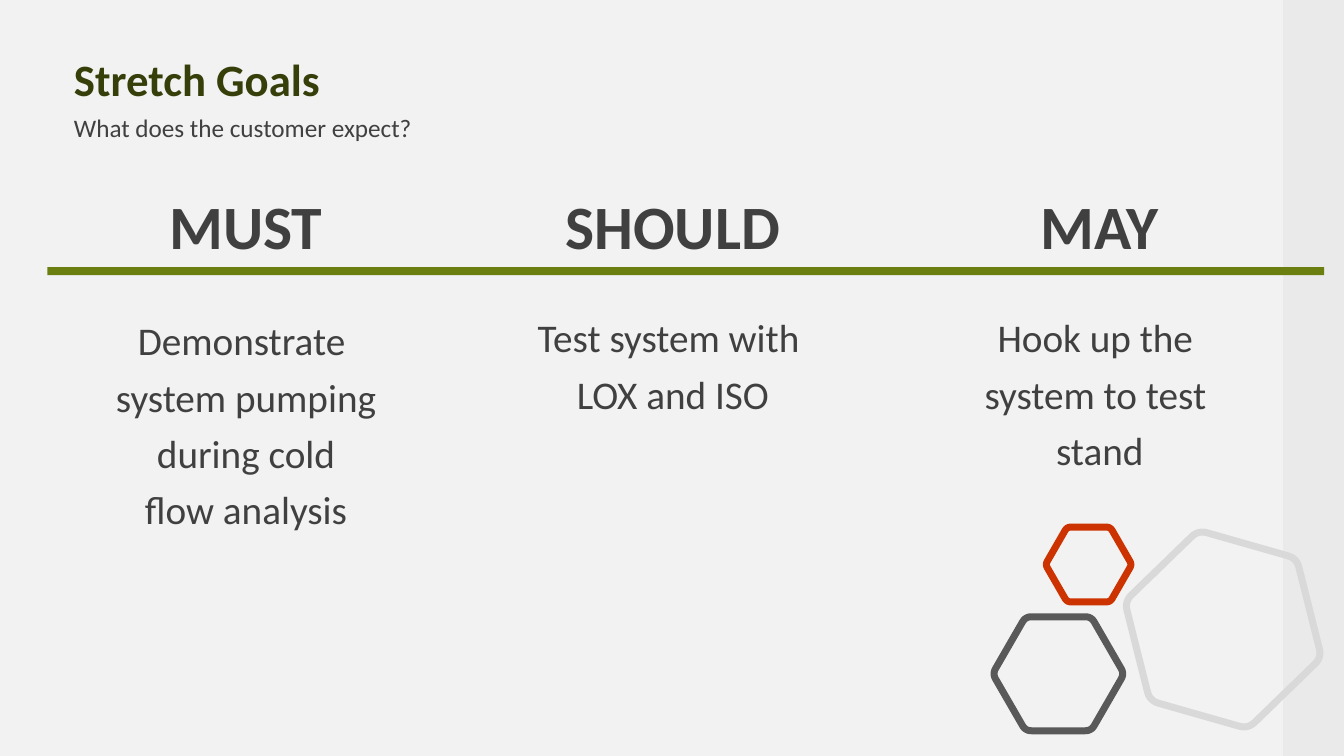
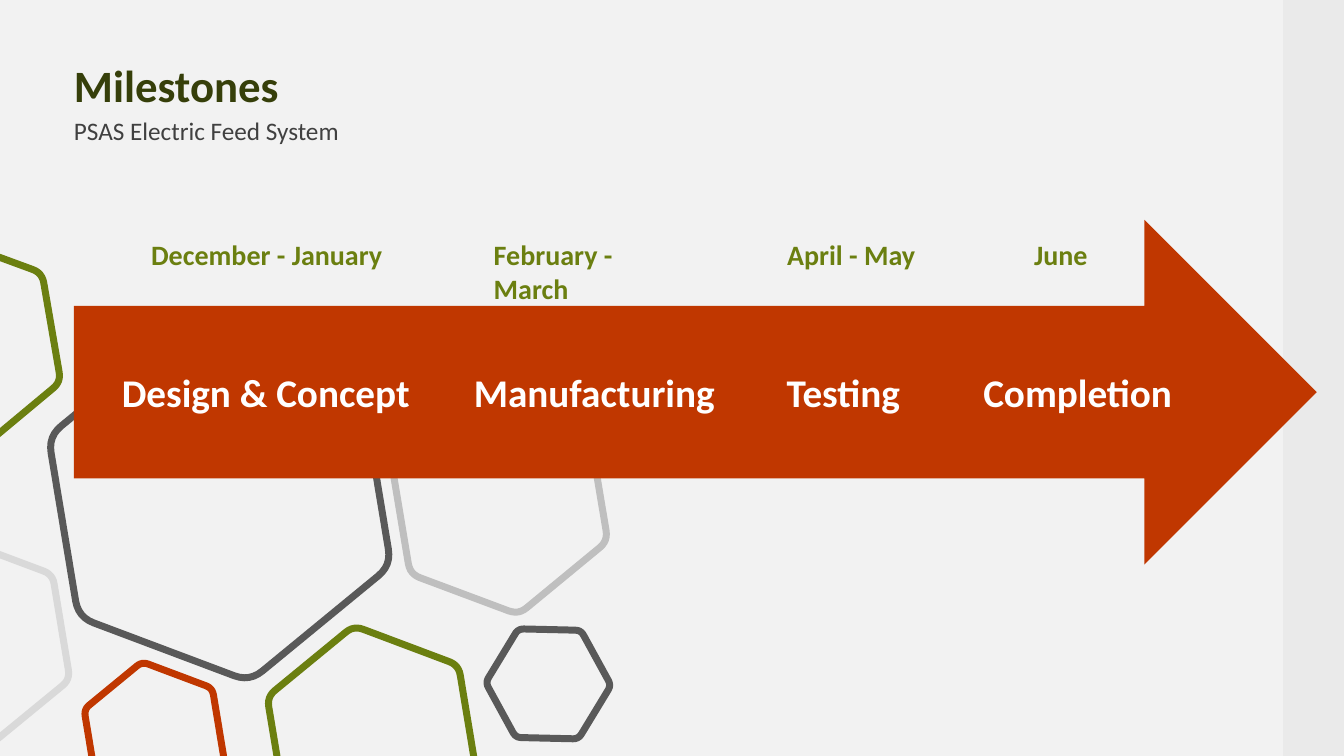
from dataclasses import dataclass
from itertools import chain
from math import cos, radians, sin
from typing import Optional

from pptx import Presentation
from pptx.dml.color import RGBColor
from pptx.enum.shapes import MSO_SHAPE as Preset
from pptx.enum.text import MSO_ANCHOR as Anchor, MSO_AUTO_SIZE as AutoSize, PP_ALIGN as Align
from pptx.presentation import Presentation as Deck
from pptx.slide import Slide
from pptx.text.text import TextFrame
from pptx.util import Inches, Pt

SLIDE_W, SLIDE_H = Inches(13.333), Inches(7.5)
TITLE_ONLY = 5


@dataclass(frozen=True)
class Theme:
    font: str = "Calibri"
    background: str = "F2F2F2"
    edge: str = "EAEAEA"
    title: str = "363F0A"
    text: str = "404040"
    green: str = "6B7F10"
    rust: str = "C03700"
    red: str = "CC3300"
    dark: str = "595959"
    mid: str = "BFBFBF"
    pale: str = "D9D9D9"
    white: str = "FFFFFF"
    title_pt: int = 32
    subtitle_pt: int = 18
    heading_pt: int = 44
    body_pt: int = 28
    date_pt: int = 20
    outline_pt: int = 5
    paragraph_gap_pt: int = 10
    tight: float = 0.9


THEME = Theme()


@dataclass(frozen=True)
class Box:
    """A rectangle in percent of the slide's width and height."""
    left: float
    top: float
    width: float
    height: float

    def emu(self) -> tuple[int, int, int, int]:
        return across(self.left), down(self.top), across(self.width), down(self.height)


@dataclass(frozen=True)
class Style:
    size: int
    color: str
    bold: bool = False
    align: Align = Align.LEFT
    spacing: Optional[float] = None


@dataclass(frozen=True)
class Line:
    text: str
    style: Style
    gap: float = 0


@dataclass(frozen=True)
class Hexagon:
    """Centre and width in percent of the slide, turn in degrees."""
    x: float
    y: float
    width: float
    color: str
    turn: float = 0


@dataclass(frozen=True)
class Goal:
    heading: str
    lines: tuple[str, ...]
    heading_gap: int = 40


@dataclass(frozen=True)
class Milestone:
    phase: str
    phase_left: float
    phase_width: float
    date: str
    date_left: float
    date_width: float


TITLE = Style(THEME.title_pt, THEME.title, True, spacing=THEME.tight)
SUBTITLE = Style(THEME.subtitle_pt, THEME.text, spacing=THEME.tight)
HEADING = Style(THEME.heading_pt, THEME.text, True, Align.CENTER, THEME.tight)
BODY = Style(THEME.body_pt, THEME.text, False, Align.CENTER, THEME.tight)
PHASE = Style(THEME.body_pt, THEME.white, True, Align.CENTER)
DATE = Style(THEME.date_pt, THEME.green, True)

GOALS = (
    Goal("MUST", ("Demonstrate ", "system pumping", " during cold ", "flow analysis"), 42),
    Goal("SHOULD", ("Test system with ", "LOX and ISO")),
    Goal("MAY", ("Hook up the ", "system to test ", "stand")),
)
MILESTONES = (
    Milestone("Design & Concept", 8.18, 23.18, "December - January", 10.5, 19.8),
    Milestone("Manufacturing", 34.5, 19.43, "February - March", 36, 16.2),
    Milestone("Testing", 56.1, 13.28, "April - May", 57.83, 12.68),
    Milestone("Completion", 71.93, 16.5, "June", 76.2, 6.5),
)
GOAL_HEXAGONS = (
    Hexagon(91.01, 83.27, 14.93, THEME.pale, 15.9),
    Hexagon(78.75, 89.13, 9.6, THEME.dark),
    Hexagon(81, 74.67, 6.3, THEME.red),
)
MILESTONE_HEXAGONS = (
    Hexagon(37.16, 66.2, 16.88, THEME.mid, 20.5),
    Hexagon(16.35, 66.27, 26.7, THEME.dark, 20.6),
    Hexagon(27.68, 97.4, 16.35, THEME.green, 20.6),
    Hexagon(40.8, 90.47, 9.15, THEME.dark, 61.3),
    Hexagon(11.48, 97.33, 10.95, THEME.rust, 20.6),
    Hexagon(-2.21, 84.93, 15.53, THEME.pale, 20.6),
    Hexagon(-3.19, 45.47, 16.13, THEME.green, 20.2),
)


def across(percent: float) -> int:
    return round(SLIDE_W * percent / 100)


def down(percent: float) -> int:
    return round(SLIDE_H * percent / 100)


def write(frame: TextFrame, lines: list[Line]) -> None:
    for index, line in enumerate(lines):
        paragraph = frame.paragraphs[0] if index == 0 else frame.add_paragraph()
        paragraph.alignment = line.style.align
        paragraph.space_before = Pt(line.gap)
        if line.style.spacing:
            paragraph.line_spacing = line.style.spacing
        run = paragraph.add_run()
        run.text = line.text
        run.font.name = THEME.font
        run.font.size = Pt(line.style.size)
        run.font.bold = line.style.bold
        run.font.color.rgb = RGBColor.from_string(line.style.color)


def clear_margins(frame: TextFrame) -> None:
    frame.margin_left = frame.margin_right = frame.margin_top = frame.margin_bottom = 0


def add_text(slide: Slide, box: Box, lines: list[Line], flush: bool = False) -> None:
    """Flush text starts at the very edge of its box."""
    frame = slide.shapes.add_textbox(*box.emu()).text_frame
    frame.word_wrap = True
    if flush:
        clear_margins(frame)
    write(frame, lines)


def add_block(slide: Slide, preset: Preset, box: Box, color: str) -> None:
    block = slide.shapes.add_shape(preset, *box.emu())
    block.shadow.inherit = False
    block.fill.solid()
    block.fill.fore_color.rgb = RGBColor.from_string(color)
    block.line.fill.background()


def rounded_corners(radius: float) -> list[tuple[float, float]]:
    """Points around a flat-topped hexagon, each corner a quadratic curve."""
    cut, steps = 0.09, 6
    vertices = [(radius * cos(radians(60 * i)), radius * sin(radians(60 * i)))
                for i in range(6)]

    def curve(i: int) -> list[tuple[float, float]]:
        vertex = vertices[i]
        start, end = ([v + cut * (n - v) for v, n in zip(vertex, neighbour)]
                      for neighbour in (vertices[i - 1], vertices[(i + 1) % 6]))
        return [tuple((1 - t) ** 2 * s + 2 * t * (1 - t) * v + t * t * e
                      for s, v, e in zip(start, vertex, end))
                for t in (step / steps for step in range(steps + 1))]

    return list(chain.from_iterable(curve(i) for i in range(6)))


def add_hexagon(slide: Slide, hexagon: Hexagon) -> None:
    center_x, center_y = across(hexagon.x), down(hexagon.y)
    points = [(round(center_x + x), round(center_y + y))
              for x, y in rounded_corners(0.51 * across(hexagon.width))]
    builder = slide.shapes.build_freeform(*points[0])
    builder.add_line_segments(points[1:], close=True)
    outline = builder.convert_to_shape()
    outline.rotation = hexagon.turn
    outline.shadow.inherit = False
    outline.fill.background()
    outline.line.color.rgb = RGBColor.from_string(hexagon.color)
    outline.line.width = Pt(THEME.outline_pt)


def start_slide(deck: Deck, title: str, title_top: float, subtitle: str,
                subtitle_top: float, hexagons: tuple[Hexagon, ...]) -> Slide:
    slide = deck.slides.add_slide(deck.slide_layouts[TITLE_ONLY])
    heading = slide.shapes.title
    heading.left, heading.top, heading.width, heading.height = Box(
        5.5, title_top, 85, 6.27).emu()
    frame = heading.text_frame
    frame.auto_size = AutoSize.NONE
    frame.vertical_anchor = Anchor.MIDDLE
    clear_margins(frame)
    write(frame, [Line(title, TITLE)])
    add_text(slide, Box(5.5, subtitle_top, 85, 5), [Line(subtitle, SUBTITLE)], flush=True)
    add_block(slide, Preset.RECTANGLE, Box(95.48, 0, 4.52, 100), THEME.edge)
    for hexagon in hexagons:
        add_hexagon(slide, hexagon)
    return slide


def add_goals_slide(deck: Deck) -> None:
    slide = start_slide(deck, "Stretch Goals", 7.73,
                        "What does the customer expect?", 15.33, GOAL_HEXAGONS)
    left, column_step = 3.53, 31.76
    add_block(slide, Preset.RECTANGLE, Box(left, 35.33, 95, 1.07), THEME.green)
    for column, goal in enumerate(GOALS):
        lines = [Line(goal.heading, HEADING)]
        lines += [Line(text, BODY, THEME.paragraph_gap_pt if row else goal.heading_gap)
                  for row, text in enumerate(goal.lines)]
        add_text(slide, Box(left + column * column_step, 26, 29.55, 68.27), lines, flush=True)


def add_milestones_slide(deck: Deck) -> None:
    slide = start_slide(deck, "Milestones", 8.53,
                        "PSAS Electric Feed System", 15.73, MILESTONE_HEXAGONS)
    add_block(slide, Preset.RIGHT_ARROW, Box(5.5, 29.07, 92.48, 45.6), THEME.rust)
    for stone in MILESTONES:
        add_text(slide, Box(stone.phase_left, 48, stone.phase_width, 7.6),
                 [Line(stone.phase, PHASE)])
        add_text(slide, Box(stone.date_left, 30.8, stone.date_width, 5.87),
                 [Line(stone.date, DATE)])


def main() -> None:
    deck = Presentation()
    deck.slide_width, deck.slide_height = SLIDE_W, SLIDE_H
    backdrop = deck.slide_master.background.fill
    backdrop.solid()
    backdrop.fore_color.rgb = RGBColor.from_string(THEME.background)
    add_goals_slide(deck)
    add_milestones_slide(deck)
    deck.save("out.pptx")


if __name__ == "__main__":
    main()
